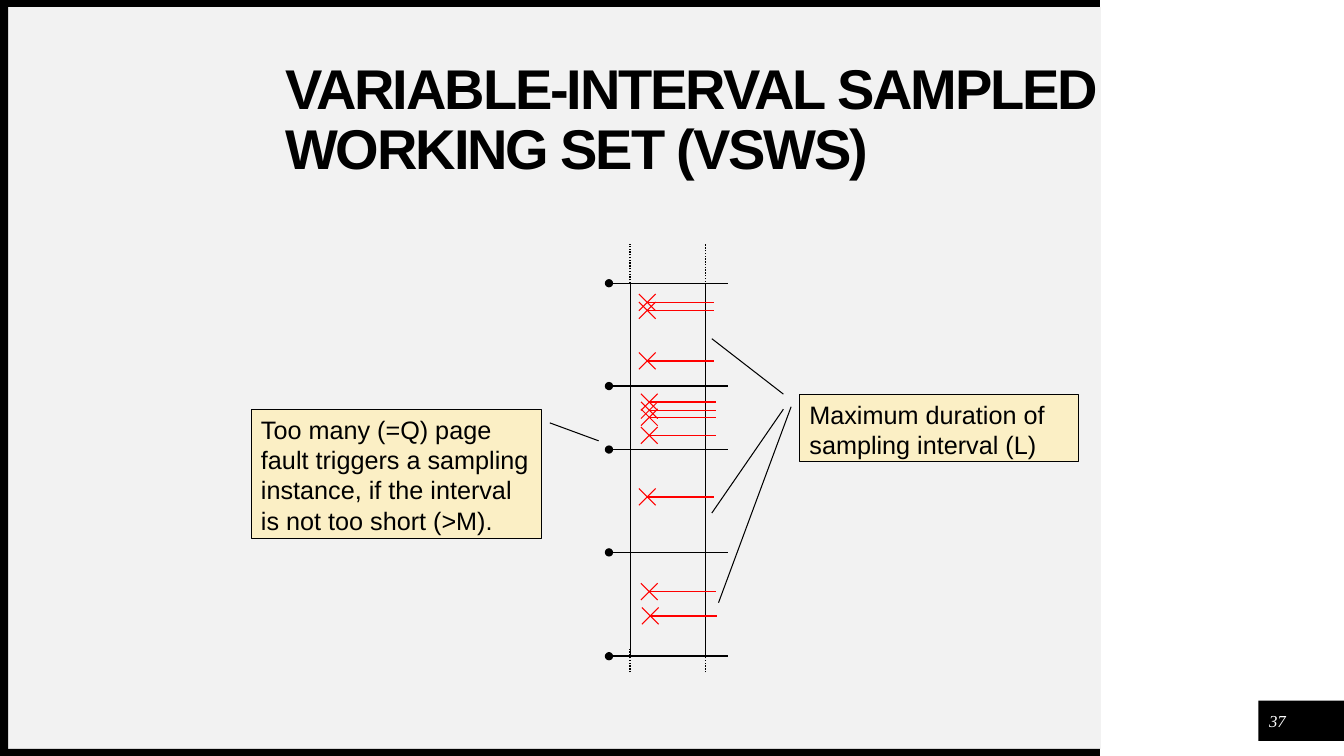
from lxml import etree
from pptx import Presentation
from pptx.dml.color import RGBColor
from pptx.enum.dml import MSO_LINE
from pptx.enum.shapes import MSO_CONNECTOR, MSO_SHAPE
from pptx.enum.text import MSO_ANCHOR, PP_ALIGN
from pptx.oxml.ns import qn
from pptx.util import Inches, Pt

RECT, CALLOUT = MSO_SHAPE.RECTANGLE, MSO_SHAPE.LINE_CALLOUT_1
STRAIGHT, DOTTED = MSO_CONNECTOR.STRAIGHT, MSO_LINE.ROUND_DOT
TOP, MIDDLE = MSO_ANCHOR.TOP, MSO_ANCHOR.MIDDLE
LEFT, CENTER = PP_ALIGN.LEFT, PP_ALIGN.CENTER
COLORS = {"black": "000000", "white": "FFFFFF", "panel": "F2F2F2",
          "note": "FBEFC5", "fault": "FF0000"}

AXES = (6.25, 7)  # the two vertical time lines
SAMPLES = (2.81, 3.83, 4.46, 5.48, 6.51)  # sampling instants
# Page faults: centre of the cross
FAULTS = ((6.42, 3), (6.42, 3.08), (6.42, 3.58), (6.42, 4.93),
          (6.44, 5.87), (6.45, 6.11), (6.44, 3.99), (6.44, 4.07),
          (6.44, 4.32), (6.44, 4.14))
CROSS, FAULT_LENGTH = 0.083, 0.66


def rgb(name):
    return RGBColor.from_string(COLORS[name])


def add_box(s, kind, x, y, w, h, fill):
    sp = s.shapes.add_shape(kind, Inches(x), Inches(y), Inches(w), Inches(h))
    sp.shadow.inherit = False
    sp.fill.solid()
    sp.fill.fore_color.rgb = rgb(fill)
    sp.line.fill.background()
    return sp


def add_line(s, x1, y1, x2, y2, color="black", width=0.75, dash=None, dot=False):
    c = s.shapes.add_connector(STRAIGHT, Inches(x1), Inches(y1), Inches(x2), Inches(y2))
    c.line.color.rgb = rgb(color)
    c.line.width = Pt(width)
    if dash:
        c.line.dash_style = dash
    if dot:
        etree.SubElement(c.line._get_or_add_ln(), qn("a:headEnd"), type="oval")
    etree.SubElement(c._element.spPr, qn("a:effectLst"))


def add_run(tf, text, size, font="Arial", color="black", align=LEFT, anchor=TOP):
    tf.word_wrap = True
    tf.vertical_anchor = anchor
    p = tf.paragraphs[0]
    p.alignment = align
    r = p.add_run()
    r.text = text
    r.font.size = Pt(size)
    r.font.name = font
    r.font.color.rgb = rgb(color)
    return p, r


def add_text(s, x, y, w, h, text, size, **style):
    tf = s.shapes.add_textbox(Inches(x), Inches(y), Inches(w), Inches(h)).text_frame
    tf.margin_left = tf.margin_right = tf.margin_top = tf.margin_bottom = 0
    return add_run(tf, text, size, anchor=MIDDLE, **style)


def add_callout(s, x, y, w, h, text, pointer):
    sp = add_box(s, CALLOUT, x, y, w, h, "note")
    sp.line.color.rgb = rgb("black")
    sp.line.width = Pt(0.75)
    for i, value in enumerate(pointer):
        sp.adjustments[i] = value
    add_run(sp.text_frame, text, 18)


def add_fault(s, x, y):
    add_line(s, x, y, x + FAULT_LENGTH, y, "fault", 1)
    for dy in (CROSS, -CROSS):
        add_line(s, x - CROSS, y - dy, x + CROSS, y + dy, "fault")


def add_frame(s):
    add_box(s, RECT, 0.08, 0.07, 10.84, 7.36, "panel")
    add_box(s, RECT, 12.48, 6.95, 0.86, 0.4, "black")
    for y in (7.43, 0):
        add_box(s, RECT, 0, y, 10.91, 0.07, "black")
    add_box(s, RECT, 0, 0.04, 0.08, 7.47, "black")


def add_diagram(s):
    # Pointers from the right-hand note
    add_line(s, 7.77, 4.06, 7.06, 5.09)
    add_line(s, 7.77, 3.91, 7.06, 3.36)
    # Time lines, dotted beyond both ends
    for x, dots_end in zip(AXES, (2.81, 2.88)):
        add_line(s, x, dots_end, x, 2.42, width=1, dash=DOTTED)
        add_line(s, x, 6.67, x, 6.43, width=1, dash=DOTTED)
        add_line(s, x, SAMPLES[0], x, SAMPLES[-1])
    for x, y in FAULTS:
        add_fault(s, x, y)
    for y in SAMPLES:
        add_line(s, 6.04, y, 7.22, y, width=1, dot=True)


def main():
    prs = Presentation()
    prs.slide_width, prs.slide_height = Inches(13.33), Inches(7.5)
    s = prs.slides.add_slide(prs.slide_layouts[6])
    add_frame(s)

    # Notes
    add_callout(s, 2.49, 4.06, 2.88, 1.28,
                "Too many (=Q) page fault triggers a sampling instance, "
                "if the interval is not too short (>M).",
                (0.106, 1.029, 0.245, 1.197))
    add_callout(s, 7.93, 3.91, 2.77, 0.67,
                "Maximum duration of sampling interval (L)",
                (0.188, -0.03, 3.089, -0.29))
    add_diagram(s)

    # Title and slide number
    p, r = add_text(s, 2.83, 0.58, 8.5, 1.25,
                    "VARIABLE-INTERVAL SAMPLED WORKING SET (VSWS)", 40)
    p.line_spacing = 0.9
    r.font.bold = True
    r.font._element.set("spc", "-150")
    p, r = add_text(s, 12.52, 7, 0.3, 0.3, "37", 12, font="Times New Roman",
                    color="white", align=CENTER)
    r.font.italic = True
    prs.save("out.pptx")


if __name__ == "__main__":
    main()
